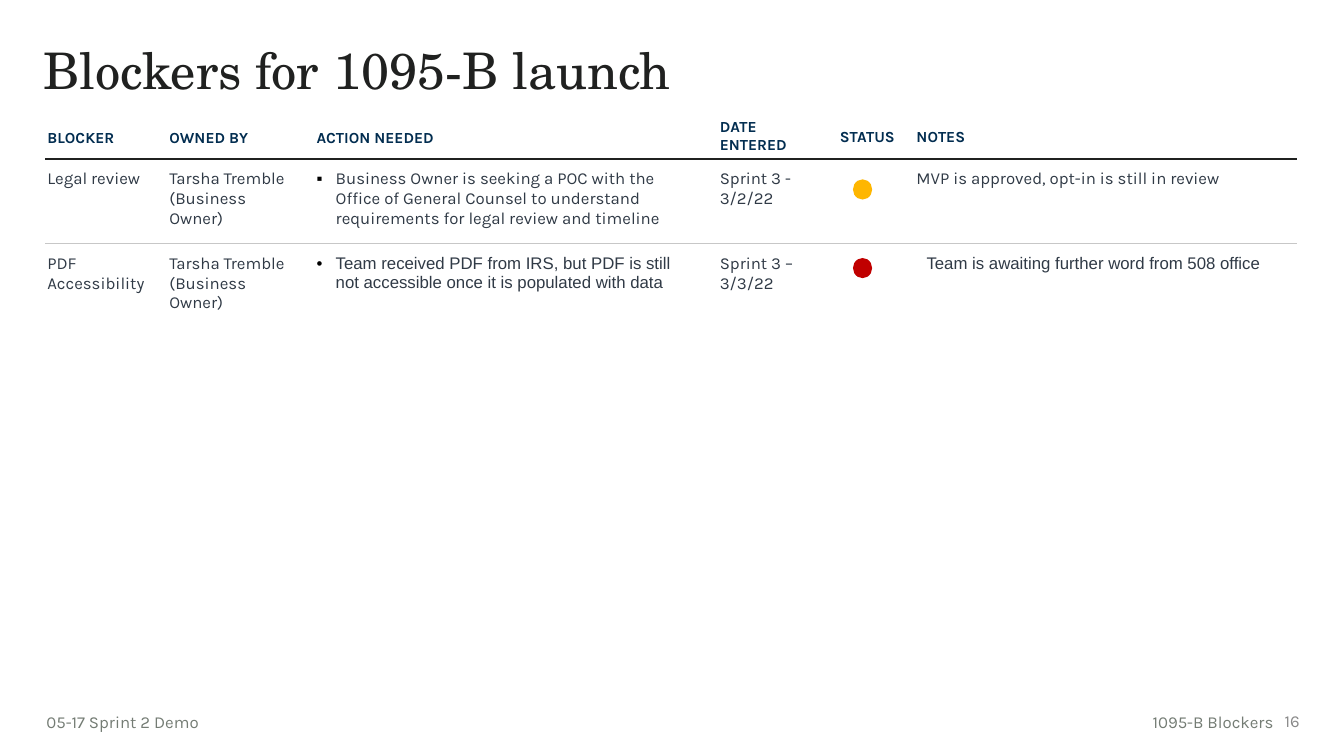
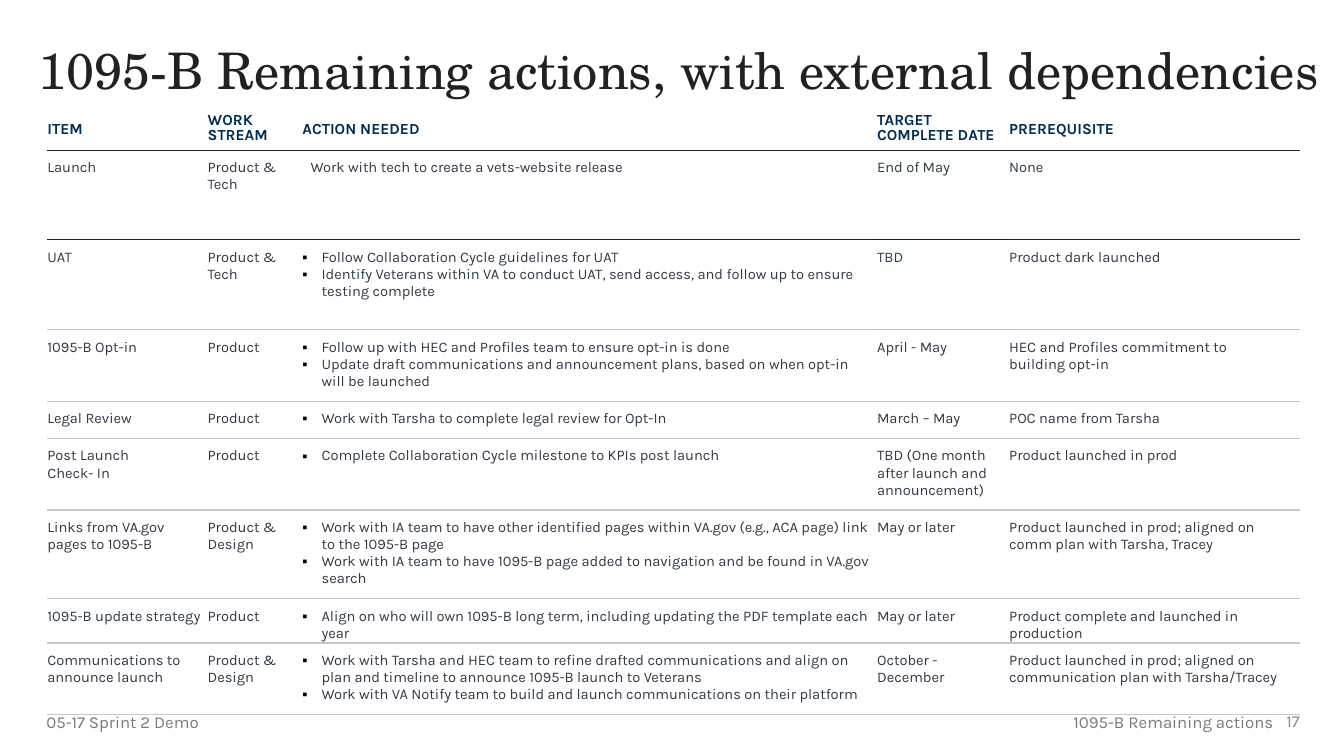
import dataclasses
import typing

import pptx
import pptx.dml.color
import pptx.enum.shapes
import pptx.enum.text
import pptx.oxml.ns
import pptx.util
from lxml import etree

Inches = pptx.util.Inches
ALIGN = pptx.enum.text.PP_ALIGN
ANCHOR = pptx.enum.text.MSO_ANCHOR


@dataclasses.dataclass(frozen=True)
class Theme:
    heading_font: str = "TeX Gyre Schola"
    body_font: str = "Karla"
    plain_font: str = "Arial"
    ink: str = "202120"
    navy: str = "022D50"
    body: str = "303A46"
    bullet: str = "000000"
    footer: str = "747C74"
    page_number: str = "8A8A8A"
    light_rule: str = "C7C7C7"
    tint: str = "FDFFFD"
    amber: str = "FEB600"
    red: str = "C00000"
    title_size: float = 36
    header_size: float = 11
    large_size: float = 12
    small_size: float = 10.5


THEME = Theme()


@dataclasses.dataclass
class Cell:
    text: str = ""
    bullet: str = ""
    indent: float = 0
    first_line: float = 0
    font: str = THEME.body_font
    line_spacing: typing.Optional[float] = None
    fill: typing.Optional[str] = None
    top_anchored: bool = False


def bullets(*lines, mark="▪", font=THEME.body_font):
    return Cell("\n".join(lines), bullet=mark, indent=0.19, first_line=-0.19, font=font)


def color(value):
    return pptx.dml.color.RGBColor.from_string(value)


def add_xml(parent, tag, **attributes):
    element = etree.SubElement(parent, pptx.oxml.ns.qn(tag))
    for name, value in attributes.items():
        element.set(name, str(value))
    return element


# Text
def write_text(frame, text, *, size, ink, font=THEME.body_font, bold=False, align=ALIGN.LEFT,
               line_spacing=None, bullet="", indent=0, first_line=0):
    """Write one paragraph for each line of text."""
    for index, line in enumerate(text.split("\n")):
        paragraph = frame.paragraphs[0] if index == 0 else frame.add_paragraph()
        paragraph.alignment = align
        properties = paragraph._p.get_or_add_pPr()
        if indent:
            properties.set("marL", str(Inches(indent)))
            properties.set("indent", str(Inches(first_line)))
        if bullet:
            add_xml(add_xml(properties, "a:buClr"), "a:srgbClr", val=THEME.bullet)
            add_xml(properties, "a:buFont", typeface=THEME.plain_font)
            add_xml(properties, "a:buChar", char=bullet)
        if line_spacing:
            paragraph.line_spacing = line_spacing
        run = paragraph.add_run()
        run.text = line
        run.font.name = font
        run.font.size = pptx.util.Pt(size)
        run.font.bold = bold
        run.font.color.rgb = color(ink)


def add_text(slide, text, left, top, width, height, *, anchor=ANCHOR.TOP, inset_left=0.1, **text_format):
    box = slide.shapes.add_textbox(Inches(left), Inches(top), Inches(width), Inches(height))
    frame = box.text_frame
    frame.word_wrap = True
    frame.vertical_anchor = anchor
    frame.margin_left = Inches(inset_left)
    write_text(frame, text, **text_format)


# Table
def set_borders(cell, top, bottom):
    """Draw horizontal rules given as (colour, points); None means no line."""
    properties = cell._tc.get_or_add_tcPr()
    for tag, rule in (("a:lnL", None), ("a:lnR", None), ("a:lnT", top), ("a:lnB", bottom)):
        if rule is None:
            add_xml(add_xml(properties, tag, w=0), "a:noFill")
        else:
            line = add_xml(properties, tag, w=pptx.util.Pt(rule[1]))
            add_xml(add_xml(line, "a:solidFill"), "a:srgbClr", val=rule[0])


def add_status_table(slide, left, top, columns, heights, rows, rules, margins, body_size):
    """Row 0 is the header; rules[i] is the line under row i."""
    frame = slide.shapes.add_table(len(rows), len(columns), Inches(left), Inches(top),
                                   Inches(sum(columns)), Inches(sum(heights)))
    table = frame.table
    table.first_row = table.horz_banding = False
    for column, width in zip(table.columns, columns):
        column.width = Inches(width)
    for row_index, (height, row) in enumerate(zip(heights, rows)):
        table.rows[row_index].height = Inches(height)
        is_header = row_index == 0
        for column_index, content in enumerate(row):
            if isinstance(content, str):
                content = Cell(content)
            cell = table.cell(row_index, column_index)
            (cell.margin_left, cell.margin_top, cell.margin_right, cell.margin_bottom) = map(
                Inches, margins(row_index, column_index))
            centred = is_header and not content.top_anchored
            cell.vertical_anchor = ANCHOR.MIDDLE if centred else ANCHOR.TOP
            set_borders(cell, None if is_header else rules[row_index - 1], rules[row_index])
            if content.fill:
                cell.fill.solid()
                cell.fill.fore_color.rgb = color(content.fill)
            else:
                cell.fill.background()
            if content.text:
                write_text(cell.text_frame, content.text, font=content.font, bold=is_header,
                           size=THEME.header_size if is_header else body_size,
                           ink=THEME.navy if is_header else THEME.body,
                           line_spacing=content.line_spacing, bullet=content.bullet,
                           indent=content.indent, first_line=content.first_line)


def add_status_dot(slide, top, fill):
    dot = slide.shapes.add_shape(pptx.enum.shapes.MSO_SHAPE.OVAL, Inches(8.46), Inches(top),
                                 Inches(0.19), Inches(0.2))
    dot.shadow.inherit = False
    dot.fill.solid()
    dot.fill.fore_color.rgb = color(fill)
    dot.line.fill.background()


# Shared slide frame
def add_slide(presentation, title, title_left, title_width, section, number):
    slide = presentation.slides.add_slide(presentation.slide_layouts[6])
    add_text(slide, title, title_left, 0.41, title_width, 0.67, size=THEME.title_size,
             ink=THEME.ink, font=THEME.heading_font, line_spacing=0.9)
    add_text(slide, "05-17 Sprint 2 Demo", 0.46, 7.01, 2.98, 0.3, inset_left=0,
             size=THEME.large_size, ink=THEME.footer)
    add_text(slide, section, 10.33, 7.01, 2.4, 0.3, align=ALIGN.RIGHT,
             size=THEME.large_size, ink=THEME.footer)
    add_text(slide, number, 12.55, 6.95, 0.44, 0.4, anchor=ANCHOR.MIDDLE, align=ALIGN.RIGHT,
             size=THEME.large_size, ink=THEME.page_number)
    return slide


def blocker_margins(row, column):
    left = 0.1 if column == 5 else 0.02
    if row == 0:
        return left, 0.03, 0.03, 0.03
    return left, 0.1, 0.2 if column < 3 else 0.03, 0.1


def build_blockers(presentation):
    slide = add_slide(presentation, "Blockers for 1095-B launch", 0.33, 8.81, "1095-B Blockers", "16")
    owner = "Tarsha Tremble (Business Owner)"
    rows = [
        [Cell("BLOCKER", line_spacing=1.15), Cell("OWNED BY", line_spacing=1.15),
         Cell("ACTION NEEDED", line_spacing=1.15), Cell("DATE\nENTERED", top_anchored=True),
         "STATUS", "NOTES"],
        ["Legal review", owner,
         bullets("Business Owner is seeking a POC with the Office of General Counsel to understand "
                 "requirements for legal review and timeline"),
         "Sprint 3 -\n3/2/22", "", "MVP is approved, opt-in is still in review"],
        ["PDF Accessibility", owner,
         bullets("Team received PDF from IRS, but PDF is still not accessible once it is populated with data",
                 mark="•", font=THEME.plain_font),
         "Sprint 3 – 3/3/22", "",
         Cell("Team is awaiting further word from 508 office", indent=0.1, font=THEME.plain_font)],
    ]
    add_status_table(slide, 0.45, 1.14, [1.21, 1.46, 4, 1.19, 0.68, 3.87], [0.44, 0.84, 0.84], rows,
                     [(THEME.ink, 1.5), (THEME.light_rule, 1), None], blocker_margins, THEME.large_size)
    add_status_dot(slide, 1.78, THEME.amber)
    add_status_dot(slide, 2.56, THEME.red)


def action_margins(row, column):
    if row == 0:
        return 0, 0.03, 0.1 if column == 0 else 0.03, 0
    right = 0 if row >= 6 and column % 2 == 0 else 0.2
    return 0, 0.09, right, 0 if row == 7 else 0.08


def build_remaining_actions(presentation):
    slide = add_slide(presentation, "1095-B Remaining actions, with external dependencies", 0.28, 13,
                      "1095-B Remaining actions", "17")
    rows = [
        [Cell("ITEM", line_spacing=1.15), Cell("WORK STREAM", line_spacing=0.8),
         Cell("ACTION NEEDED", line_spacing=1.15), Cell("TARGET\nCOMPLETE DATE", line_spacing=0.8),
         Cell("PREREQUISITE", line_spacing=1.15)],
        ["Launch", "Product & Tech",
         Cell("Work with tech to create a vets-website release", indent=0.19, first_line=-0.11),
         Cell("End of May", fill=THEME.tint), "None"],
        ["UAT", "Product & Tech",
         bullets("Follow Collaboration Cycle guidelines for UAT",
                 "Identify Veterans within VA to conduct UAT, send access, and follow up to ensure "
                 "testing complete"),
         Cell("TBD", fill=THEME.tint), "Product dark launched"],
        ["1095-B Opt-in", "Product",
         bullets("Follow up with HEC and Profiles team to ensure opt-in is done",
                 "Update draft communications and announcement plans, based on when opt-in will be launched"),
         "April - May", "HEC and Profiles commitment to building opt-in"],
        ["Legal Review", "Product", bullets("Work with Tarsha to complete legal review for Opt-In"),
         "March – May", "POC name from Tarsha"],
        ["Post Launch\nCheck- In", "Product",
         bullets("Complete Collaboration Cycle milestone to KPIs post launch"),
         "TBD (One month after launch and announcement)", "Product launched in prod"],
        ["Links from VA.gov pages to 1095-B", "Product & Design",
         bullets("Work with IA team to have other identified pages within VA.gov (e.g., ACA page) link "
                 "to the 1095-B page",
                 "Work with IA team to have 1095-B page added to navigation and be found in VA.gov search"),
         "May or later", "Product launched in prod; aligned on comm plan with Tarsha, Tracey"],
        ["1095-B update strategy", "Product",
         bullets("Align on who will own 1095-B long term, including updating the PDF template each year"),
         "May or later", "Product complete and launched in production"],
        ["Communications to announce launch", "Product & Design",
         bullets("Work with Tarsha and HEC team to refine drafted communications and align on plan and "
                 "timeline to announce 1095-B launch to Veterans",
                 "Work with VA Notify team to build and launch communications on their platform"),
         "October - December", "Product launched in prod; aligned on communication plan with Tarsha/Tracey"],
    ]
    rules = [(THEME.ink, 0.75)] * 2 + [(THEME.light_rule, 1)] * 7
    add_status_table(slide, 0.47, 1.03, [1.59, 0.94, 5.7, 1.31, 2.88],
                     [0.46, 0.89, 0.89, 0.71, 0.37, 0.71, 0.88, 0.44, 0.71], rows, rules,
                     action_margins, THEME.small_size)


def main():
    presentation = pptx.Presentation()
    presentation.slide_width = Inches(13.33)
    presentation.slide_height = Inches(7.5)
    build_blockers(presentation)
    build_remaining_actions(presentation)
    presentation.save("out.pptx")


if __name__ == "__main__":
    main()
